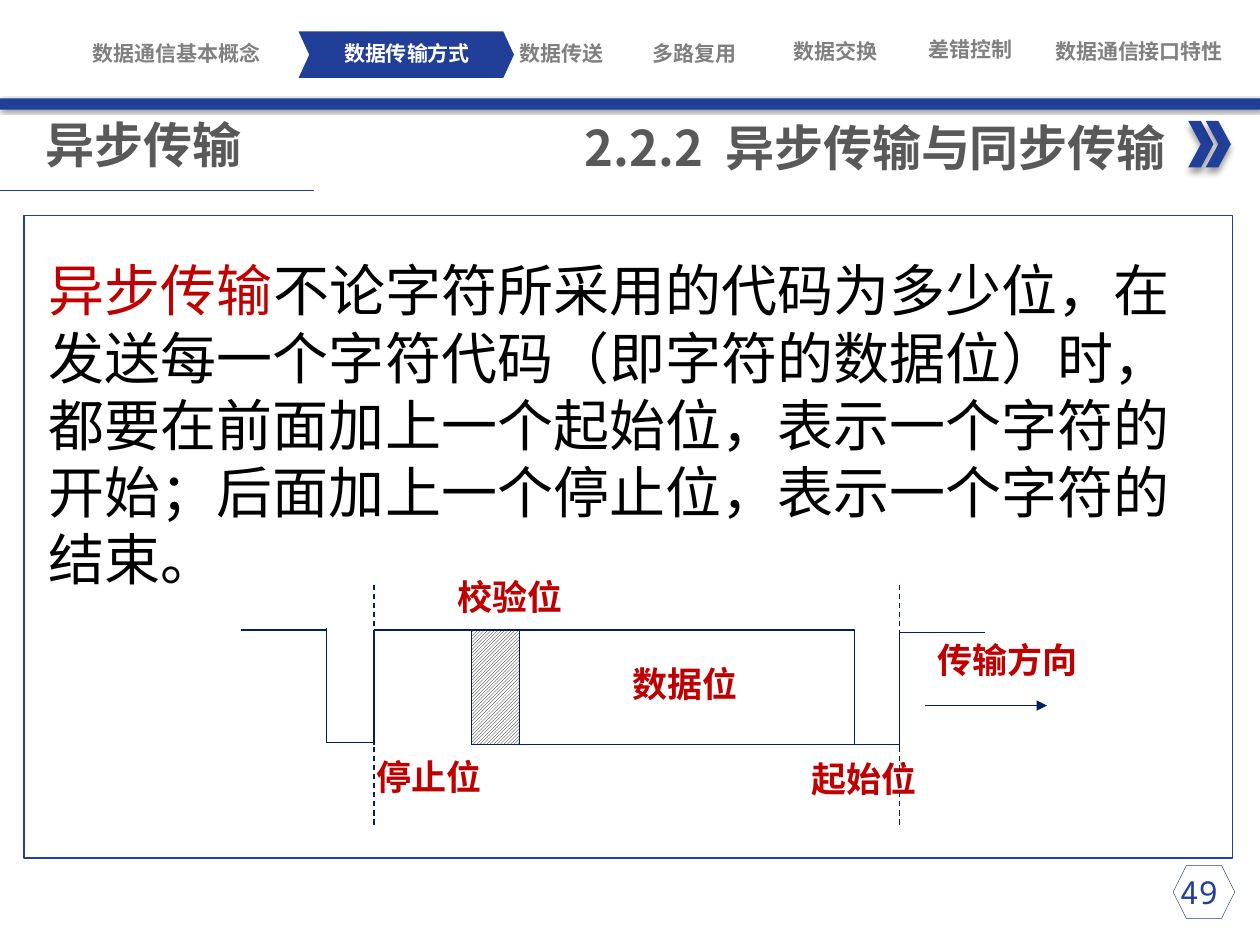
from lxml.etree import SubElement
from pptx import Presentation
from pptx.dml.color import RGBColor
from pptx.enum.dml import MSO_LINE, MSO_PATTERN
from pptx.enum.shapes import MSO_CONNECTOR, MSO_SHAPE
from pptx.enum.text import MSO_ANCHOR, MSO_AUTO_SIZE, PP_ALIGN
from pptx.oxml.ns import qn
from pptx.util import Pt

BLUE = RGBColor(0x21, 0x3F, 0x99)
NAVY = RGBColor(0x00, 0x20, 0x60)
RED = RGBColor(0xC0, 0x00, 0x00)
GRAY = RGBColor(0x80, 0x80, 0x80)
DARK = RGBColor(0x59, 0x59, 0x59)
WHITE = RGBColor(0xFF, 0xFF, 0xFF)
BLACK = RGBColor(0x00, 0x00, 0x00)

CJK = "Noto Sans CJK SC"
NAV_FONT = "Roboto Condensed"

NAV = [
    ("数据通信基本概念", 51.8, 23, 104.4, GRAY),
    ("数据传输方式", 180.4, 23, 104.4, WHITE),
    ("数据传送", 268.6, 23, 104.4, GRAY),
    ("多路复用", 344.9, 23, 104.4, GRAY),
    ("数据交换", 425.5, 22.2, 104.4, GRAY),
    ("差错控制", 502.6, 21, 104.4, GRAY),
    ("数据通信接口特性", 581.8, 22.2, 138.2, GRAY),
]
BODY = [
    ("异步传输", RED),
    ("不论字符所采用的代码为多少位，在发送每一个字符代码（即字符的数据位）时，"
     "都要在前面加上一个起始位，表示一个字符的开始；后面加上一个停止位，"
     "表示一个字符的结束。", BLACK),
]
LABELS = [
    ("数据位", 354.2, 375.1, 87.1),
    ("起始位", 456.5, 429.1, 104.4),
    ("停止位", 208.1, 428.4, 104.4),
    ("校验位", 254.2, 325.4, 104.4),
    ("传输方向", 528.5, 361.4, 121.7),
]
STOP_X, START_X = 213.8, 514.1
SIGNAL = [
    (START_X, 361.4, 563, 361.4),
    (486.7, 425.5, START_X, 425.5),
    (START_X, 361.4, START_X, 427),
    (STOP_X, 360, 268.9, 360),
    (137.5, 360, 186.5, 360),
    (186.5, 424.1, STOP_X, 424.1),
    (STOP_X, 360, STOP_X, 425.5),
    (186.5, 358.6, 186.5, 424.1),
]


def add_shape(shapes, kind, x, y, w, h, fill=None, line=None, width=0.75):
    sp = shapes.add_shape(kind, Pt(x), Pt(y), Pt(w), Pt(h))
    sp.shadow.inherit = False
    if fill is None:
        sp.fill.background()
    else:
        sp.fill.solid()
        sp.fill.fore_color.rgb = fill
    if line is None:
        sp.line.fill.background()
    else:
        sp.line.color.rgb = line
        sp.line.width = Pt(width)
    return sp


def add_shadow(sp, blur, dist, angle):
    effects = sp._element.spPr.find(qn("a:effectLst"))
    shadow = SubElement(effects, qn("a:outerShdw"), blurRad=str(Pt(blur)),
                        dist=str(Pt(dist)), dir=str(angle * 60000),
                        algn="tl", rotWithShape="0")
    color = SubElement(shadow, qn("a:srgbClr"), val="000000")
    SubElement(color, qn("a:alpha"), val="40000")


def add_line(shapes, x1, y1, x2, y2, color=NAVY, width=0.75):
    line = shapes.add_connector(MSO_CONNECTOR.STRAIGHT, Pt(x1), Pt(y1), Pt(x2), Pt(y2))
    line.line.color.rgb = color
    line.line.width = Pt(width)
    SubElement(line._element.spPr, qn("a:effectLst"))
    return line


def add_text(shapes, runs, x, y, w, h, size, font, color, bold=False,
             align=PP_ALIGN.LEFT, anchor=MSO_ANCHOR.TOP, grow=False):
    tf = shapes.add_textbox(Pt(x), Pt(y), Pt(w), Pt(h)).text_frame
    tf.word_wrap = True
    tf.vertical_anchor = anchor
    if grow:
        tf.auto_size = MSO_AUTO_SIZE.SHAPE_TO_FIT_TEXT
    p = tf.paragraphs[0]
    p.alignment = align
    p.font.size = Pt(size)
    p.font.name = font
    p.font.bold = bold
    p.font.color.rgb = color
    for text, run_color in runs:
        r = p.add_run()
        r.text = text
        if run_color != color:
            r.font.color.rgb = run_color
    return tf


def add_header(shapes):
    tab = add_shape(shapes, MSO_SHAPE.CHEVRON, 170.6, 18, 123.1, 26.6, BLUE)
    tab.adjustments[0] = 0.23
    for i, (text, x, y, w, color) in enumerate(NAV):
        tf = add_text(shapes, [(text, color)], x, y, w, 14.4, 12, NAV_FONT, color, True,
                      PP_ALIGN.CENTER, MSO_ANCHOR.MIDDLE, True)
        tf.margin_left = tf.margin_top = tf.margin_bottom = 0
        tf.margin_right = Pt(0 if i else 6)
    bar = add_shape(shapes, MSO_SHAPE.RECTANGLE, 0, 56.2, 720, 6.5, BLUE)
    add_shadow(bar, 2, 1, 45)
    arrows = shapes.add_group_shape().shapes
    for x in (679, 689):
        arrow = add_shape(arrows, MSO_SHAPE.CHEVRON, x, 69.1, 14.4, 26.6, BLUE)
        add_shadow(arrow, 4, 3, 90)
    tf = add_text(shapes, [("2.2.2  异步传输与同步传输", DARK)], 319, 63.4, 354.2, 41,
                  28, CJK, DARK, True, PP_ALIGN.RIGHT, grow=True)
    tf.word_wrap = False
    tf = add_text(shapes, [("异步传输", DARK)], 0, 61.9, 270.7, 41, 28, CJK, DARK, True, grow=True)
    tf.margin_left = Pt(26)
    add_line(shapes, 0, 108.7, 179.3, 108.7, BLUE, 0.5)


def add_diagram(shapes):
    group = shapes.add_group_shape().shapes
    add_shape(group, MSO_SHAPE.RECTANGLE, 269.3, 360, 218.9, 65.5, WHITE, NAVY)
    check = add_shape(group, MSO_SHAPE.RECTANGLE, 269.3, 360, 27.4, 65.5, line=NAVY)
    check.fill.patterned()
    check.fill.pattern = MSO_PATTERN.LIGHT_UPWARD_DIAGONAL
    check.fill.fore_color.rgb = BLACK
    check.fill.back_color.rgb = WHITE
    for ends in SIGNAL:
        add_line(group, *ends)
    for text, x, y, w in LABELS:
        add_text(group, [(text, RED)], x, y, w, 41.8, 20, "Calibri", RED, True, PP_ALIGN.JUSTIFY)
    for x in (STOP_X, START_X):
        add_line(group, x, 334.1, x, 472.3).line.dash_style = MSO_LINE.DASH
    arrow = add_line(group, 528.5, 403.2, 598.3, 403.2)
    SubElement(arrow.line._get_or_add_ln(), qn("a:tailEnd"), type="triangle")


def main():
    prs = Presentation()
    prs.slide_width, prs.slide_height = Pt(720), Pt(540)
    s = prs.slides.add_slide(prs.slide_layouts[6])
    add_header(s.shapes)
    add_text(s.shapes, [("49", BLUE)], 653.8, 495.4, 62.6, 28.8, 18, "Noto Sans Mono", BLUE,
             align=PP_ALIGN.CENTER)
    add_shape(s.shapes, MSO_SHAPE.HEXAGON, 670.3, 494.6, 35.3, 30.2, line=BLUE, width=0.25)
    add_shape(s.shapes, MSO_SHAPE.RECTANGLE, 13.7, 123.1, 690.5, 367.2, line=BLUE)
    add_text(s.shapes, BODY, 20.9, 141.8, 666.7, 200.9, 32, CJK, BLACK,
             anchor=MSO_ANCHOR.MIDDLE, grow=True)
    add_diagram(s.shapes)
    prs.save("out.pptx")


if __name__ == "__main__":
    main()
